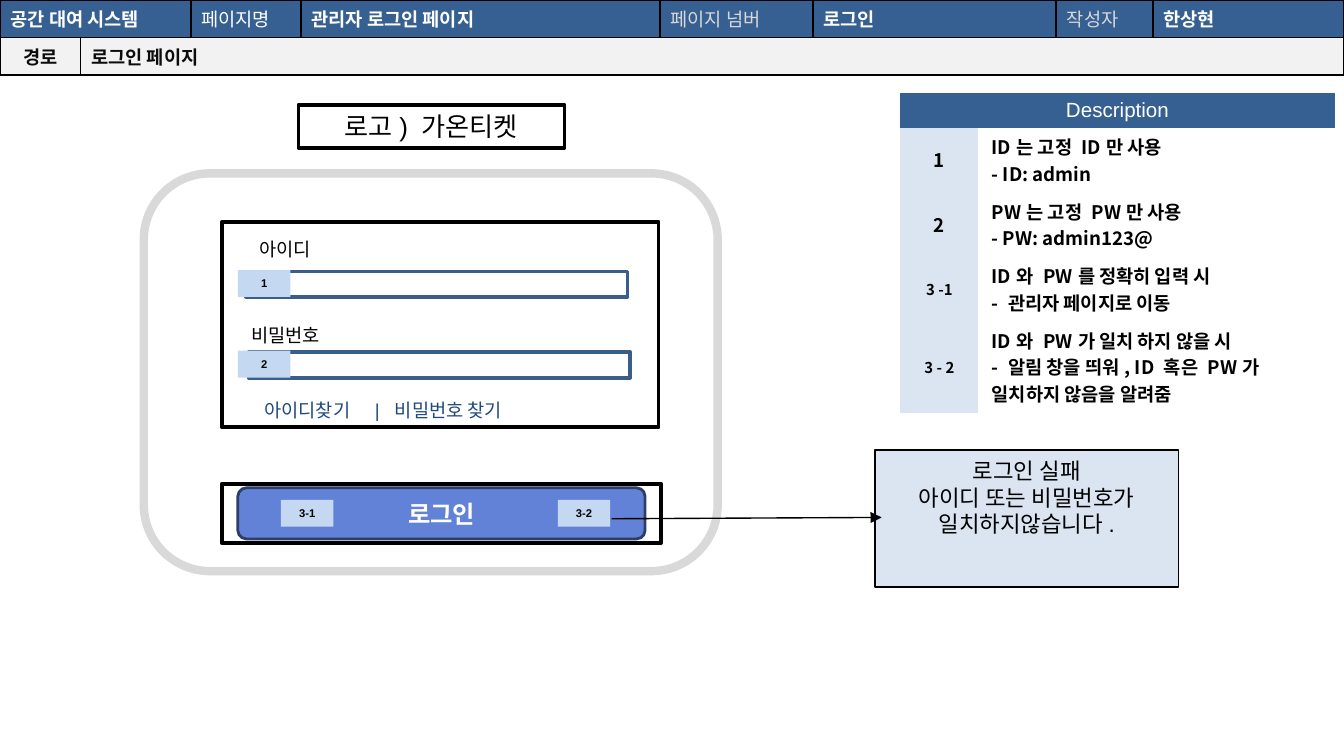
import pptx
import pptx.util
import pptx.dml.color
import pptx.enum.shapes
import pptx.enum.text
import pptx.oxml
import pptx.oxml.ns
import lxml.etree

HUE = {"navy": "366092", "pale": "DAE5F1", "tag": "C5D8F1", "white": "FFFFFF",
       "black": "000000", "gray": "D8D8D8", "rim": "D9D9D9", "path": "F2F2F2",
       "ink": "0C0C0C", "blue": "6182D6", "edge": "2E3E67", "field": "395E89",
       "link": "1F497D"}
NOTO, ARIAL = "Noto Sans CJK KR", "Arial"
COLS = 1000  # slide grid, 0.01 inch a step
ROWS = COLS * 9 / 16
KIND = pptx.enum.shapes.MSO_SHAPE
MID = pptx.enum.text.MSO_ANCHOR.MIDDLE
TOP = pptx.enum.text.MSO_ANCHOR.TOP
MIDDLE, LEFT = pptx.enum.text.PP_ALIGN.CENTER, pptx.enum.text.PP_ALIGN.LEFT


def grid(n):
    return pptx.util.Inches(n / 100)


def inner(box, x, y, w, h):
    return box[0] + x, box[1] + y, w, h


def hue(name):
    return pptx.dml.color.RGBColor.from_string(HUE[name])


def sub(node, tag, **vals):
    return lxml.etree.SubElement(node, pptx.oxml.ns.qn(tag), vals)


def write(frame, text, size=10, color="black", bold=False, font=NOTO, align=LEFT):
    """Text is a string, or a list of (string, font) runs; \\n starts a paragraph, \\v a line."""
    runs = [(text, font)] if isinstance(text, str) else text
    par = frame.paragraphs[0]
    par.alignment = align
    for words, face in runs:
        for i, part in enumerate(words.split("\n")):
            if i:
                par = frame.add_paragraph()
                par.alignment = align
            for j, line in enumerate(part.split("\v")):
                if j:
                    par.add_line_break()
                run = par.add_run()
                run.text = line
                form = {"size": pptx.util.Pt(size), "bold": bold, "name": face}
                for key, val in form.items():
                    setattr(run.font, key, val)
                run.font.color.rgb = hue(color)
                sub(run._r.get_or_add_rPr(), "a:ea", typeface=NOTO)


def shape(slide, box, fill=None, line=None, width=1, kind=KIND.RECTANGLE,
          text=None, anchor=MID, **form):
    item = slide.shapes.add_shape(kind, *map(grid, box))
    item.shadow.inherit = False
    if fill:
        item.fill.solid()
        item.fill.fore_color.rgb = hue(fill)
    else:
        item.fill.background()
    if line:
        item.line.color.rgb = hue(line)
        item.line.width = pptx.util.Pt(width)
    else:
        item.line.fill.background()
    if text:
        item.text_frame.word_wrap = True
        item.text_frame.vertical_anchor = anchor
        write(item.text_frame, text, **{"align": MIDDLE, **form})


def label(slide, box, text, **form):
    item = slide.shapes.add_textbox(*map(grid, box))
    item.text_frame.word_wrap = True
    write(item.text_frame, text, **form)
    return item.text_frame.paragraphs[0]


def tag(slide, box, text):
    shape(slide, box, "tag", text=text, size=6, bold=True, font=ARIAL)


def table(slide, box, cols, rows):
    frame = slide.shapes.add_table(len(rows), len(cols), *map(grid, box))
    tab = frame.table
    tab.first_row = tab.horz_banding = False
    for col, n in zip(tab.columns, cols):
        col.width = grid(n)
    for row, n in zip(tab.rows, rows):
        row.height = grid(n)
    return tab


def dress(cell, fill, side, line=None, anchor=MID):
    form = {"margin_left": grid(side), "margin_right": grid(side),
            "margin_top": grid(4), "margin_bottom": grid(4), "vertical_anchor": anchor}
    for key, val in form.items():
        setattr(cell, key, val)
    for edge in "LRTB":
        rim = sub(cell._tc.get_or_add_tcPr(), "a:ln" + edge, w="12700")
        if line:
            sub(sub(rim, "a:solidFill"), "a:srgbClr", val=HUE[line])
        else:
            sub(rim, "a:noFill")
    cell.fill.solid()
    cell.fill.fore_color.rgb = hue(fill)


def header(slide, box):
    tab = table(slide, box, (60, 82, 82, 267, 114, 181, 72, 142), (24, 24))
    for row, fill, anchor in ((0, "navy", TOP), (1, "path", MID)):
        for col in range(8):
            dress(tab.cell(row, col), fill, 8, "black", anchor)
    tab.cell(0, 0).merge(tab.cell(0, 1))
    tab.cell(1, 1).merge(tab.cell(1, 7))
    items = ((0, "공간 대여 시스템", "white", True), (2, "페이지명", "white", False),
             (3, "관리자 로그인 페이지", "white", True), (4, "페이지 넘버", "gray", False),
             (5, "로그인", "white", True), (6, "작성자", "gray", False),
             (7, "한상현", "white", True))
    for col, text, color, bold in items:
        write(tab.cell(0, col).text_frame, text, color=color, bold=bold,
              font=ARIAL if col > 4 else NOTO)
    write(tab.cell(1, 0).text_frame, "경로", color="ink", bold=True, align=MIDDLE)
    write(tab.cell(1, 1).text_frame, "로그인 페이지", color="ink", bold=True)


def notes(slide, box):
    items = (("1", 10, "ID는 고정 ID만 사용\n- ID: admin"),
             ("2", 10, "PW는 고정 PW만 사용\n- PW: admin123@"),
             ("3 -1", 8, "ID와 PW를 정확히 입력 시\n- 관리자 페이지로 이동"),
             ("3 - 2", 8, "ID와 PW가 일치 하지 않을 시\n"
              "- 알림 창을 띄워, ID 혹은 PW가 일치하지 않음을 알려줌"))
    tab = table(slide, box, (58, 265), (26, 41, 41, 41, 58))
    for col in range(2):
        dress(tab.cell(0, col), "navy", 10)
    tab.cell(0, 0).merge(tab.cell(0, 1))
    write(tab.cell(0, 0).text_frame, "Description", 11, "white", font=ARIAL, align=MIDDLE)
    for row, (mark, size, text) in enumerate(items, 1):
        dress(tab.cell(row, 0), "pale", 10)
        dress(tab.cell(row, 1), "white", 10)
        write(tab.cell(row, 0).text_frame, mark, size, bold=True, align=MIDDLE)
        write(tab.cell(row, 1).text_frame, text, bold=True)


def login(slide, box):
    round_box = KIND.FLOWCHART_ALTERNATE_PROCESS
    # Frames
    shape(slide, inner(box, 58, 36, 325, 153), "white", "black", 2)
    shape(slide, inner(box, 58, 231, 327, 44), "white", "black", 2)
    shape(slide, box, None, "rim", 4.5, round_box)
    # Input fields
    for i, (name, left, top) in enumerate((("아이디", 76, 43), ("비밀번호", 70, 107))):
        y = 73 + 60 * i
        label(slide, inner(box, left, top, 140, 27), name)
        shape(slide, inner(box, 76 + 2 * i, y, 284, 19), "white", "field", 2)
        tag(slide, inner(box, 70, y - 1, 39, 20), str(i + 1))
    # Search links, set apart by tab stops
    par = label(slide, inner(box, 80, 163, 278, 26),
                [("아이디찾기", NOTO), ("\t|\t", ARIAL), ("비밀번호 찾기", NOTO)], color="link")
    stops = sub(par._p.get_or_add_pPr(), "a:tabLst")
    for stop in (82, 97):
        sub(stops, "a:tab", pos=str(grid(stop)), algn="l")
    # Button
    shape(slide, inner(box, 70, 234, 303, 38), "blue", "edge", 1.5, round_box,
          "로그인", size=13, color="white", bold=True)
    for x, text in ((102, "3-1"), (308, "3-2")):
        tag(slide, inner(box, x, 243, 39, 20), text)


def alert(slide, box):
    shape(slide, box, "pale", "black", 1, text="로그인 실패\v아이디 또는 비밀번호가 일치하지않습니다.",
          anchor=TOP, size=12, font=ARIAL)
    # Arrow from the button
    x, y = box[0] + 5, box[1] + 50
    arrow = slide.shapes.add_connector(pptx.enum.shapes.MSO_CONNECTOR.STRAIGHT,
                                       *map(grid, (x - 201, y + 1, x, y)))
    arrow.line.color.rgb = hue("black")
    arrow.line.width = pptx.util.Pt(0.75)
    sub(arrow.line._get_or_add_ln(), "a:tailEnd", type="triangle")
    sub(arrow._element.spPr, "a:effectLst")


def main():
    deck = pptx.Presentation()
    deck.slide_width, deck.slide_height = grid(COLS), grid(ROWS)
    slide = deck.slides.add_slide(deck.slide_layouts[6])
    notes(slide, (670, 69, 323, 207))
    header(slide, (0, 0, COLS, 48))
    shape(slide, (222, 78, 198, 32), "white", "black", 2, size=14,
          text=[("로고", NOTO), (") ", ARIAL), ("가온티켓", NOTO)])
    login(slide, (107, 129, 427, 296))
    alert(slide, (651, 335, 226, 102))
    deck.save("out.pptx")


if __name__ == "__main__":
    main()
